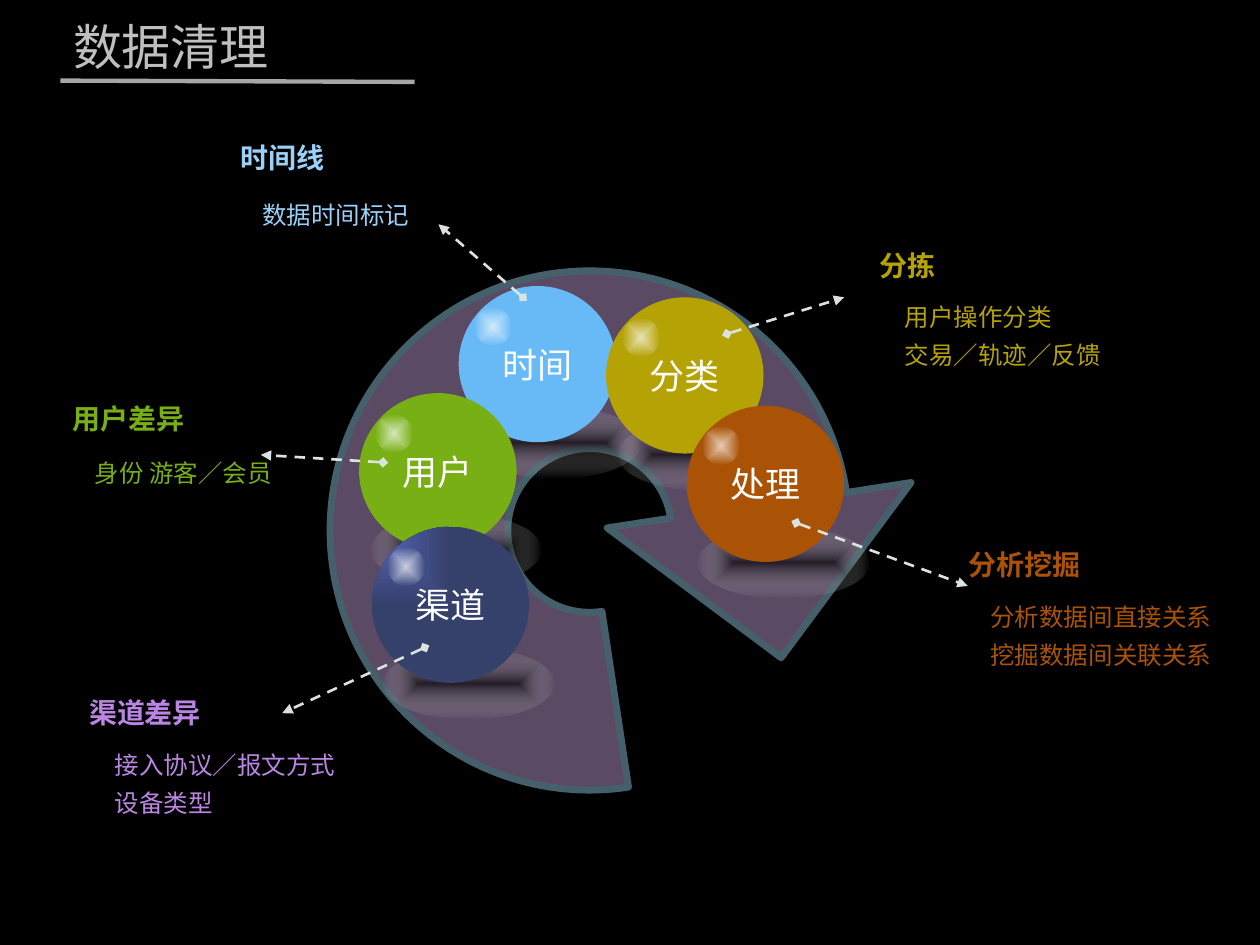
from dataclasses import dataclass
from itertools import pairwise
from math import cos, radians, sin, tan
from typing import Optional

from lxml.etree import SubElement
from pptx import Presentation
from pptx.dml.color import RGBColor
from pptx.enum.dml import MSO_LINE_DASH_STYLE as Dash
from pptx.enum.shapes import MSO_CONNECTOR as Connector, MSO_SHAPE as Shape
from pptx.enum.text import MSO_ANCHOR as Anchor, MSO_AUTO_SIZE as AutoSize, PP_ALIGN as Align
from pptx.oxml import parse_xml
from pptx.oxml.ns import nsdecls, qn
from pptx.util import Inches, Pt

Point = tuple[float, float]


@dataclass(frozen=True)
class Theme:
    background: str = "000000"
    title: str = "BFBFBF"
    rule: str = "A6A6A6"
    swirl: str = "5B4A64"
    rim: str = "45606B"
    pointer: str = "DAE3DF"
    white: str = "FFFFFF"
    sky: str = "67BAF6"
    pale_sky: str = "9AD1F9"
    olive: str = "B5A306"
    rust: str = "AA5306"
    green: str = "77AF14"
    navy: str = "35406B"
    navy_glow: str = "5A6BC0"
    violet: str = "BB86E3"
    title_font: str = "Calibri"
    font: str = "Noto Sans CJK SC"
    title_size: int = 28
    ball_size: int = 20
    heading_size: int = 16
    detail_size: int = 14


THEME = Theme()


@dataclass(frozen=True)
class Stop:
    position: int
    color: str
    alpha: int = 100


@dataclass(frozen=True)
class Ball:
    label: str
    left: float
    top: float
    color: str
    glow: Optional[str] = None


@dataclass(frozen=True)
class Pointer:
    start: Point
    end: Point


@dataclass(frozen=True)
class Callout:
    heading: str
    details: list[str]
    color: str
    heading_at: Point
    detail_at: Point
    width: float
    indent: float = 0.17


BALLS = [
    Ball("时间", 3.64, 2.27, THEME.sky),
    Ball("分类", 4.81, 2.36, THEME.olive),
    Ball("处理", 5.45, 3.22, THEME.rust),
    Ball("用户", 2.85, 3.12, THEME.green),
    Ball("渠道", 2.95, 4.18, THEME.navy, THEME.navy_glow),
]

POINTERS = [
    Pointer((6.32, 4.15), (7.68, 4.65)),
    Pointer((5.77, 2.65), (6.7, 2.36)),
    Pointer((4.15, 2.36), (3.48, 1.78)),
    Pointer((3.04, 3.67), (2.07, 3.61)),
    Pointer((3.37, 5.14), (2.24, 5.66)),
]

CALLOUTS = [
    Callout("用户差异", ["身份 游客／会员"], THEME.green, (0.48, 3.14), (0.48, 3.52), 1.95),
    Callout("渠道差异", ["接入协议／报文方式", "设备类型"], THEME.violet,
            (0.61, 5.47), (0.6, 5.83), 2.25, 0.21),
    Callout("时间线", ["数据时间标记"], THEME.pale_sky, (1.81, 1.07), (1.81, 1.47), 1.95),
    Callout("分拣", ["用户操作分类", "交易／轨迹／反馈"], THEME.olive,
            (6.88, 1.92), (6.91, 2.28), 2.09),
    Callout("分析挖掘", ["分析数据间直接关系", "挖掘数据间关联关系"], THEME.rust,
            (7.59, 4.3), (7.55, 4.66), 2.29, 0.21),
]


def rgb(color: str) -> RGBColor:
    return RGBColor.from_string(color)


def style(paragraph, size: int, color: str, family: str = THEME.font, bold: bool = False) -> None:
    font = paragraph.font
    font.size, font.bold, font.name = Pt(size), bold, family
    font.color.rgb = rgb(color)
    SubElement(font._rPr, qn("a:ea")).set("typeface", family)


def fill_gradient(shape, stops: list[Stop], kind: str, focus: dict[str, int]) -> None:
    stop_xml = "".join(
        f'<a:gs pos="{stop.position * 1000}"><a:srgbClr val="{stop.color}">'
        f'<a:alpha val="{stop.alpha * 1000}"/></a:srgbClr></a:gs>' for stop in stops)
    focus_xml = " ".join(f'{side}="{share * 1000}"' for side, share in focus.items())
    shape._element.spPr.find(qn("a:prstGeom")).addnext(parse_xml(
        f'<a:gradFill {nsdecls("a")} rotWithShape="1"><a:gsLst>{stop_xml}</a:gsLst>'
        f'<a:path path="{kind}"><a:fillToRect {focus_xml}/></a:path></a:gradFill>'))


def add_ellipse(slide, left: float, top: float, width: float, height: float):
    ellipse = slide.shapes.add_shape(Shape.OVAL, *map(Inches, (left, top, width, height)))
    ellipse.shadow.inherit = False
    ellipse.line.fill.background()
    return ellipse


def add_glow(slide, left: float, top: float, width: float, height: float, core: Stop) -> None:
    glow = add_ellipse(slide, left, top, width, height)
    fill_gradient(glow, [core, Stop(100, THEME.white, 0)], "shape", dict(l=50, t=50, r=50, b=50))


def add_ball(slide, ball: Ball) -> None:
    add_glow(slide, ball.left + 0.09, ball.top + 0.96, 1.36, 0.57, Stop(0, THEME.background, 60))
    sphere = add_ellipse(slide, ball.left, ball.top, 1.25, 1.24)
    if ball.glow:
        fill_gradient(sphere, [Stop(0, ball.glow), Stop(100, ball.color)], "rect",
                      dict(l=0, t=0, r=100, b=100))
    else:
        sphere.fill.solid()
        sphere.fill.fore_color.rgb = rgb(ball.color)
    frame = sphere.text_frame
    frame.word_wrap, frame.vertical_anchor = False, Anchor.MIDDLE
    label = frame.paragraphs[0]
    label.text, label.alignment = ball.label, Align.CENTER
    style(label, THEME.ball_size, THEME.white)
    add_glow(slide, ball.left + 0.13, ball.top + 0.17, 0.29, 0.3, Stop(0, THEME.white, 70))


def add_line(slide, start: Point, end: Point, color: str, width: float):
    line = slide.shapes.add_connector(Connector.STRAIGHT, *map(Inches, start + end))
    line.line.color.rgb, line.line.width = rgb(color), Pt(width)
    SubElement(line._element.spPr, qn("a:effectLst"))
    return line


def add_pointer(slide, pointer: Pointer) -> None:
    line = add_line(slide, pointer.start, pointer.end, THEME.pointer, 1.5).line
    line.dash_style = Dash.DASH
    for tag, head in (("a:headEnd", "diamond"), ("a:tailEnd", "triangle")):
        SubElement(line._get_or_add_ln(), qn(tag)).set("type", head)


def on_circle(radius: float, angle: float, pull: float = 0) -> Point:
    x, y = cos(radians(angle)), sin(radians(angle))
    return 4.68 + radius * (x - pull * y), 4.21 + radius * (y + pull * x)


def arc(radius: float, *angles: float) -> list[Point]:
    points = []
    for start, end in pairwise(angles):
        pull = 4 / 3 * tan(radians(end - start) / 4)
        points += [on_circle(radius, start, pull), on_circle(radius, end, -pull),
                   on_circle(radius, end)]
    return points


def add_swirl(slide) -> None:
    inner = arc(0.65, 351.4, 270, 180, 90, 81.4)
    outer = arc(2.06, 81.4, 90, 180, 270, 351.6)
    arrowhead = [(7.23, 3.83), (6.2, 5.22), (4.82, 4.19)]
    corners = [on_circle(0.65, 351.4), *inner, on_circle(2.06, 81.4), *outer, *arrowhead]
    start, *rest = [tuple(map(Inches, corner)) for corner in corners]
    builder = slide.shapes.build_freeform(*start)
    builder.add_line_segments(rest, close=True)
    swirl = builder.convert_to_shape()
    steps = list(swirl._element.iter(qn("a:lnTo")))
    outer_first = len(inner) + 1
    for first in [*range(0, len(inner), 3), *range(outer_first, outer_first + len(outer), 3)]:
        curve = parse_xml(f'<a:cubicBezTo {nsdecls("a")}/>')
        steps[first].addprevious(curve)
        for step in steps[first:first + 3]:
            curve.append(step[0])
            step.getparent().remove(step)
    swirl.shadow.inherit = False
    swirl.fill.solid()
    swirl.fill.fore_color.rgb = rgb(THEME.swirl)
    swirl.line.color.rgb, swirl.line.width = rgb(THEME.rim), Pt(4)


def add_lines(slide, lines: list[str], at: Point, width: float, height: float, size: int,
              color: str, indent: float = 0, spacing: float = 1, bold: bool = False) -> None:
    frame = slide.shapes.add_textbox(*map(Inches, at + (width, height))).text_frame
    frame.word_wrap, frame.margin_left = True, Inches(0.1 + indent)
    frame.auto_size = AutoSize.SHAPE_TO_FIT_TEXT
    frame.text = "\n".join(lines)
    for paragraph in frame.paragraphs:
        paragraph.line_spacing = spacing
        style(paragraph, size, color, bold=bold)


def add_callout(slide, callout: Callout) -> None:
    add_lines(slide, [callout.heading], callout.heading_at, 1.4, 0.37,
              THEME.heading_size, callout.color, bold=True)
    add_lines(slide, callout.details, callout.detail_at, callout.width,
              0.1 + 0.3 * len(callout.details), THEME.detail_size, callout.color,
              callout.indent, 1.3)


def add_title(slide, text: str) -> None:
    title = slide.shapes.title
    title.left, title.top, title.width, title.height = map(Inches, (0.48, 0.08, 3.03, 0.57))
    frame = title.text_frame
    frame.text, frame.vertical_anchor, frame.auto_size = text, Anchor.TOP, AutoSize.NONE
    frame.paragraphs[0].alignment = Align.LEFT
    style(frame.paragraphs[0], THEME.title_size, THEME.title, THEME.title_font)


deck = Presentation()
deck.slide_width, deck.slide_height = Inches(10), Inches(7.5)
slide = deck.slides.add_slide(deck.slide_layouts[5])
slide.background.fill.solid()
slide.background.fill.fore_color.rgb = rgb(THEME.background)
add_title(slide, "数据清理")
add_line(slide, (0.48, 0.64), (3.29, 0.65), THEME.rule, 2.5)
add_swirl(slide)
for draw, items in ((add_ball, BALLS), (add_pointer, POINTERS), (add_callout, CALLOUTS)):
    for item in items:
        draw(slide, item)
deck.save("out.pptx")
